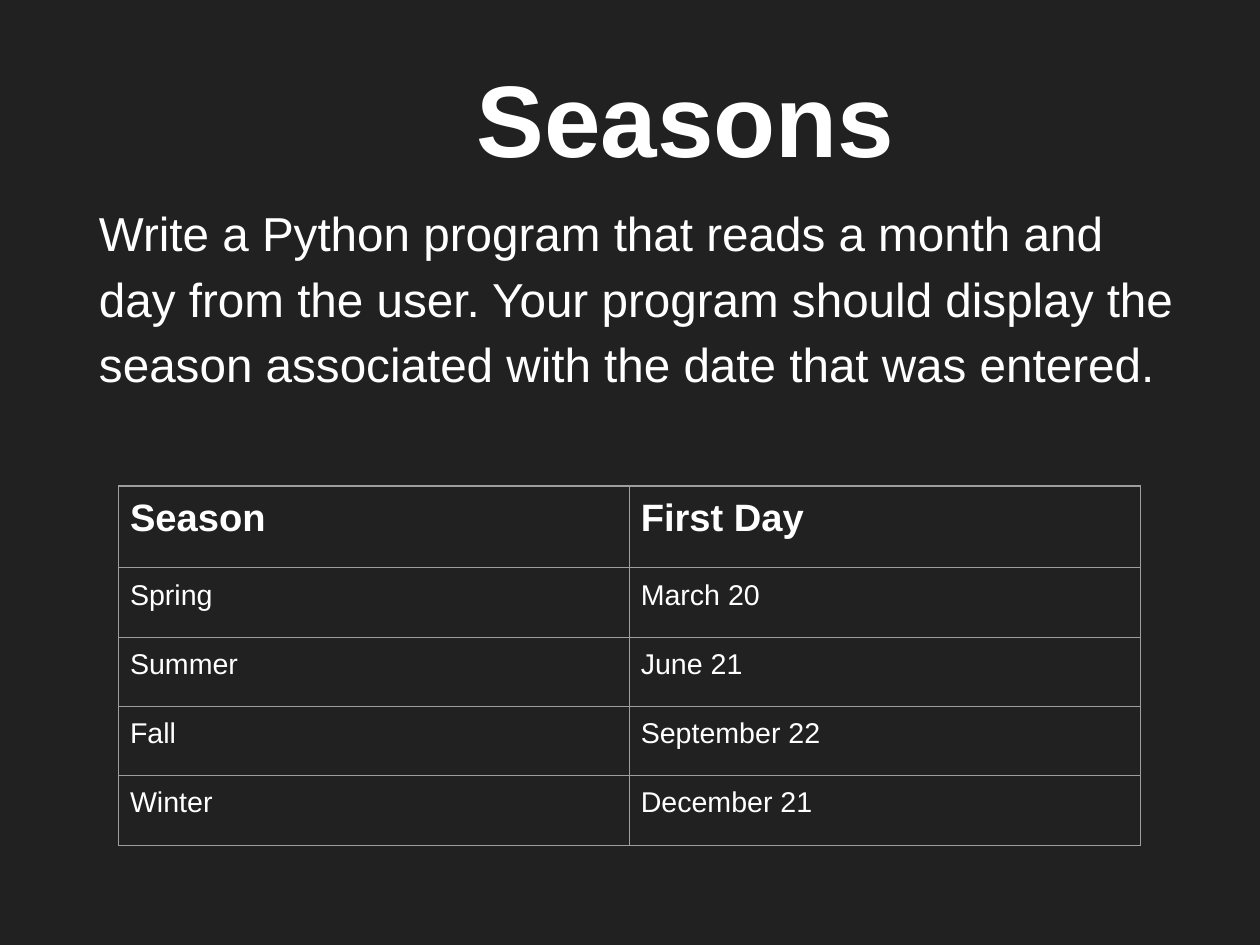
import dataclasses

import lxml.etree
import pptx
import pptx.dml.color
import pptx.enum.text
import pptx.oxml.ns
import pptx.util

Cm = pptx.util.Cm
Pt = pptx.util.Pt
qn = pptx.oxml.ns.qn


# Colours and type sizes
@dataclasses.dataclass(frozen=True)
class Theme:
    font: str = "Arial"
    background: str = "212121"
    text: str = "FFFFFF"
    border: str = "9E9E9E"
    title_size: int = 64
    body_size: int = 30
    header_size: int = 24
    cell_size: int = 18
    border_width: float = 0.75


def rgb(value):
    return pptx.dml.color.RGBColor.from_string(value)


def format_text(tf, text, *, font, size, color, bold=False, line_spacing=1.0,
                after=0, left=0, indent=0):
    """Fill a text frame with one formatted, left-aligned paragraph."""
    p = tf.paragraphs[0]
    p.alignment = pptx.enum.text.PP_ALIGN.LEFT
    p.line_spacing = line_spacing
    p.space_before, p.space_after = Pt(0), Pt(after)
    pPr = p._p.get_or_add_pPr()
    pPr.set("marL", str(Cm(left)))
    pPr.set("indent", str(Cm(indent)))
    lxml.etree.SubElement(pPr, qn("a:buNone"))
    r = p.add_run()
    r.text = text
    r.font.name, r.font.size, r.font.bold = font, Pt(size), bold
    r.font.color.rgb = rgb(color)


class SlideBuilder:
    def __init__(self, slide, theme):
        self.s = slide
        self.theme = theme
        slide.background.fill.solid()
        slide.background.fill.fore_color.rgb = rgb(theme.background)

    def text(self, tf, text, size, **fmt):
        format_text(tf, text, font=self.theme.font, size=size,
                    color=self.theme.text, **fmt)

    def placeholder(self, index, text, box, size, anchor, **fmt):
        sp = self.s.placeholders[index]
        sp.left, sp.top, sp.width, sp.height = map(Cm, box)
        tf = sp.text_frame
        tf.word_wrap = True
        tf.auto_size = pptx.enum.text.MSO_AUTO_SIZE.NONE
        tf.vertical_anchor = anchor
        tf.margin_left = tf.margin_right = Cm(0.3)
        tf.margin_top = tf.margin_bottom = Cm(0.3)
        self.text(tf, text, size, **fmt)

    def border(self, cell):
        tcPr = cell._tc.get_or_add_tcPr()
        for side in ("L", "R", "T", "B"):
            ln = lxml.etree.SubElement(tcPr, qn(f"a:ln{side}"),
                                       w=str(Pt(self.theme.border_width)))
            fill = lxml.etree.SubElement(ln, qn("a:solidFill"))
            lxml.etree.SubElement(fill, qn("a:srgbClr"),
                                  val=self.theme.border)

    def table(self, rows, box, header_height, row_height):
        frame = self.s.shapes.add_table(len(rows), len(rows[0]),
                                        *map(Cm, box))
        table = frame.table
        table.horz_banding = False
        for i, values in enumerate(rows):
            header = i == 0
            table.rows[i].height = Cm(header_height if header else row_height)
            size = self.theme.header_size if header else self.theme.cell_size
            for j, value in enumerate(values):
                cell = table.cell(i, j)
                self.border(cell)
                cell.fill.background()
                cell.margin_left = cell.margin_right = Cm(0.25)
                cell.margin_top = cell.margin_bottom = Cm(0.25)
                self.text(cell.text_frame, value, size, bold=header)


def main():
    theme = Theme()
    prs = pptx.Presentation()
    prs.slide_width, prs.slide_height = Cm(28), Cm(21)
    slide = SlideBuilder(prs.slides.add_slide(prs.slide_layouts[1]), theme)
    anchor = pptx.enum.text.MSO_ANCHOR

    # Title
    slide.placeholder(0, "Seasons", (1.4, 0.84, 25.2, 3.5), theme.title_size,
                      anchor.MIDDLE, bold=True, left=7.62, indent=1.27)

    # Exercise text
    slide.placeholder(
        1,
        "Write a Python program that reads a month and day from the user. "
        "Your program should display the season associated with the date "
        "that was entered.",
        (1.9, 4.04, 24.64, 14.66), theme.body_size, anchor.TOP,
        line_spacing=1.15, after=20)

    # Season dates
    seasons = [
        ("Season", "First Day"),
        ("Spring", "March 20"),
        ("Summer", "June 21"),
        ("Fall", "September 22"),
        ("Winter", "December 21"),
    ]
    slide.table(seasons, (2.64, 10.8, 22.7, 8), 1.82, 1.54)

    prs.save("out.pptx")


if __name__ == "__main__":
    main()
